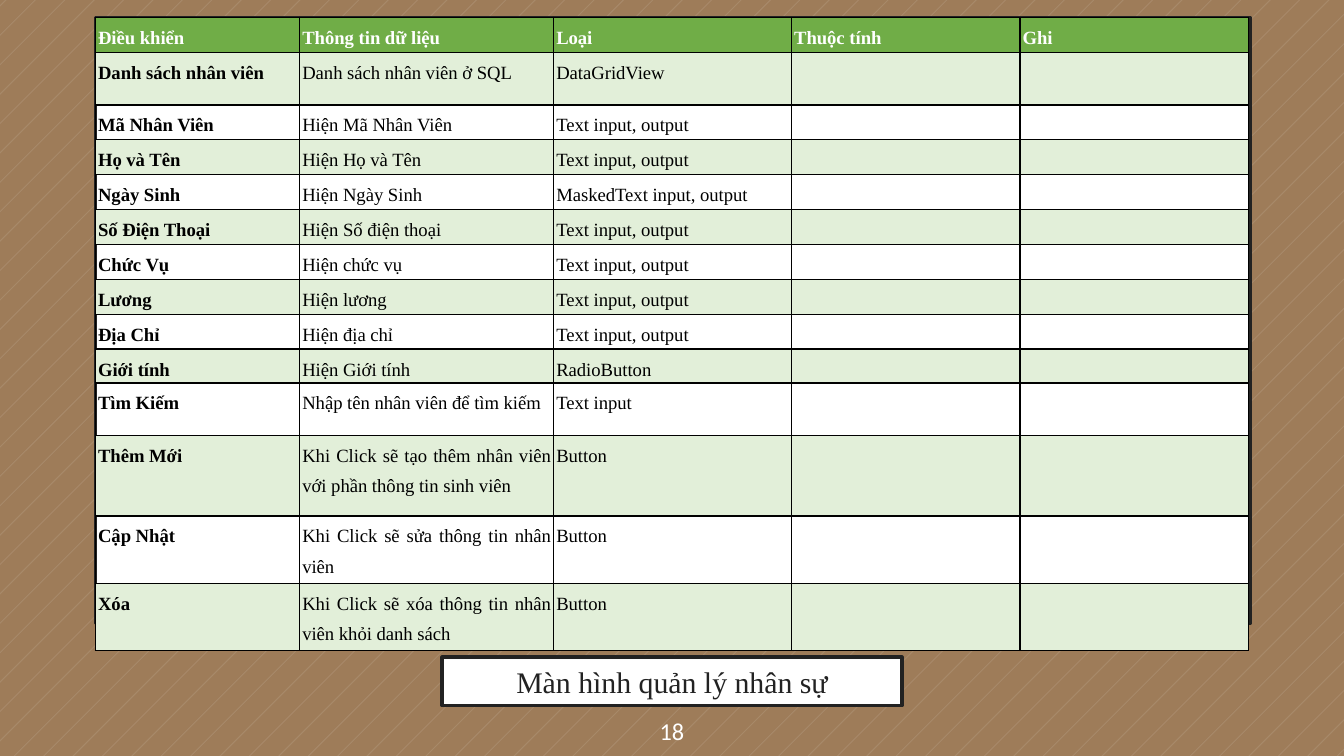
from collections import namedtuple
from dataclasses import dataclass

from lxml.etree import SubElement
from pptx import Presentation
from pptx.dml.color import RGBColor
from pptx.enum.shapes import MSO_SHAPE
from pptx.enum.text import MSO_ANCHOR, PP_ALIGN
from pptx.oxml.ns import qn
from pptx.util import Inches, Pt

Box = namedtuple("Box", "left top width height")


@dataclass(frozen=True)
class Theme:
    background: str = "9E7C59"
    white: str = "FFFFFF"
    ink: str = "222222"
    black: str = "000000"
    header: str = "70AD47"
    band: str = "E2EFD9"
    serif: str = "Times New Roman"
    sans: str = "Calibri"
    table_size: int = 10
    caption_size: int = 16
    number_size: int = 13
    grid_width: int = 1
    frame_width: int = 2


THEME = Theme()

COLUMN_WIDTHS = [1.52, 1.89, 1.77, 1.7, 1.7]
ROW_HEIGHTS = [0.26, 0.39] + [0.26] * 7 + [0.13, 0.39, 0.6, 0.39, 0.5]
TEXT_FIELD = "Text input, output"
ROWS = [
    ("Điều khiển", "Thông tin dữ liệu", "Loại", "Thuộc tính", "Ghi"),
    ("Danh sách nhân viên", "Danh sách nhân viên ở SQL", "DataGridView"),
    ("Mã Nhân Viên", "Hiện Mã Nhân Viên", TEXT_FIELD),
    ("Họ và Tên", "Hiện Họ và Tên", TEXT_FIELD),
    ("Ngày Sinh", "Hiện Ngày Sinh", "MaskedText input, output"),
    ("Số Điện Thoại", "Hiện Số điện thoại", TEXT_FIELD),
    ("Chức Vụ", "Hiện chức vụ", TEXT_FIELD),
    ("Lương", "Hiện lương", TEXT_FIELD),
    ("Địa Chỉ", "Hiện địa chỉ", TEXT_FIELD),
    ("Giới tính", "Hiện Giới tính", "RadioButton"),
    ("Tìm Kiếm", "Nhập tên nhân viên để tìm kiếm", "Text input"),
    ("Thêm Mới", "Khi Click sẽ tạo thêm nhân viên với phần thông tin sinh viên", "Button"),
    ("Cập Nhật", "Khi Click sẽ sửa thông tin nhân viên", "Button"),
    ("Xóa", "Khi Click sẽ xóa thông tin nhân viên khỏi danh sách", "Button"),
]


def color(value):
    return RGBColor.from_string(value)


def style_text(paragraph, font_name, size, font_color, alignment, bold=False):
    paragraph.alignment = alignment
    for run in paragraph.runs:
        run.font.name = font_name
        run.font.size = Pt(size)
        run.font.bold = bold
        run.font.color.rgb = color(font_color)


def add_stripes(slide, box, count=72):
    step, first, thickness = 7 / 32, 0.04, 0.01

    def top_end(offset):
        x = min(offset, box.width)
        return Inches(box.left + x), Inches(box.top + offset - x)

    def bottom_end(offset):
        y = min(offset, box.height)
        return Inches(box.left + offset - y), Inches(box.top + y)

    builder = None
    for index in range(count):
        near = first + index * step
        far = near + thickness
        start = top_end(near)
        if builder is None:
            builder = slide.shapes.build_freeform(*start)
        else:
            builder.move_to(*start)
        builder.add_line_segments([bottom_end(near), bottom_end(far), top_end(far)], close=True)
    shape = builder.convert_to_shape()
    shape.shadow.inherit = False
    shape.fill.solid()
    shape.fill.fore_color.rgb = color(THEME.white)
    fill_color = shape.fill._xPr.find(qn("a:solidFill"))[0]
    SubElement(fill_color, qn("a:alpha"), val="10000")
    shape.line.fill.background()


def add_panel(slide, box):
    shape = slide.shapes.add_shape(MSO_SHAPE.RECTANGLE, *map(Inches, box))
    shape.shadow.inherit = False
    shape.fill.solid()
    shape.fill.fore_color.rgb = color(THEME.white)
    shape.line.color.rgb = color(THEME.ink)
    shape.line.width = Pt(THEME.frame_width)
    return shape


def add_caption(slide, box, text):
    text_frame = add_panel(slide, box).text_frame
    text_frame.vertical_anchor = MSO_ANCHOR.MIDDLE
    text_frame.text = text
    style_text(text_frame.paragraphs[0], THEME.serif, THEME.caption_size, THEME.ink, PP_ALIGN.CENTER)


def add_page_number(slide, box, text):
    text_frame = slide.shapes.add_textbox(*map(Inches, box)).text_frame
    text_frame.word_wrap = True
    text_frame.vertical_anchor = MSO_ANCHOR.MIDDLE
    text_frame.margin_top = text_frame.margin_bottom = Inches(0.1)
    text_frame.text = text
    style_text(text_frame.paragraphs[0], THEME.sans, THEME.number_size, THEME.white, PP_ALIGN.CENTER)


def add_borders(cell):
    properties = cell._tc.get_or_add_tcPr()
    for side in ("lnL", "lnR", "lnT", "lnB"):
        line = SubElement(properties, qn(f"a:{side}"), w=str(Pt(THEME.grid_width)))
        fill = SubElement(line, qn("a:solidFill"))
        SubElement(fill, qn("a:srgbClr"), val=THEME.black)


def fill_cell(cell, text, fill, font_color, bold):
    add_borders(cell)
    if fill:
        cell.fill.solid()
        cell.fill.fore_color.rgb = color(fill)
    else:
        cell.fill.background()
    cell.margin_left = cell.margin_right = Inches(0.02)
    cell.margin_top = cell.margin_bottom = 0
    paragraph = cell.text_frame.paragraphs[0]
    if text:
        paragraph.text = text
        paragraph.line_spacing = 1.5
        style_text(paragraph, THEME.serif, THEME.table_size, font_color, PP_ALIGN.JUSTIFY, bold)
    else:
        SubElement(paragraph._p, qn("a:endParaRPr"), sz=str(THEME.table_size * 100))


def add_control_table(slide, box):
    frame = slide.shapes.add_table(len(ROWS), len(COLUMN_WIDTHS), *map(Inches, box))
    table = frame.table
    table.first_row = False
    table.horz_banding = False
    for column, width in zip(table.columns, COLUMN_WIDTHS):
        column.width = Inches(width)
    for row_index, (row, height, texts) in enumerate(zip(table.rows, ROW_HEIGHTS, ROWS)):
        row.height = Inches(height)
        is_header = row_index == 0
        band = THEME.band if row_index % 2 else None
        fill = THEME.header if is_header else band
        font_color = THEME.white if is_header else THEME.black
        for column_index, cell in enumerate(row.cells):
            text = texts[column_index] if column_index < len(texts) else ""
            fill_cell(cell, text, fill, font_color, is_header or column_index == 0)
    frame.width = Inches(box.width)
    frame.height = Inches(box.height)


def build_slide(presentation, box):
    slide = presentation.slides.add_slide(presentation.slide_layouts[6])
    slide.background.fill.solid()
    slide.background.fill.fore_color.rgb = color(THEME.background)
    add_stripes(slide, box)
    add_panel(slide, Box(0.71, 0.13, 8.59, 4.51))
    add_page_number(slide, Box(box.left, 5.25, box.width, 0.38), "18")
    add_caption(slide, Box(3.29, 4.89, 3.42, 0.36), "Màn hình quản lý nhân sự")
    add_control_table(slide, Box(0.71, 0.13, 8.59, 4.69))


def main():
    presentation = Presentation()
    box = Box(0, 0, 10, 10 * 9 / 16)
    presentation.slide_width = Inches(box.width)
    presentation.slide_height = Inches(box.height)
    build_slide(presentation, box)
    presentation.save("out.pptx")


if __name__ == "__main__":
    main()
